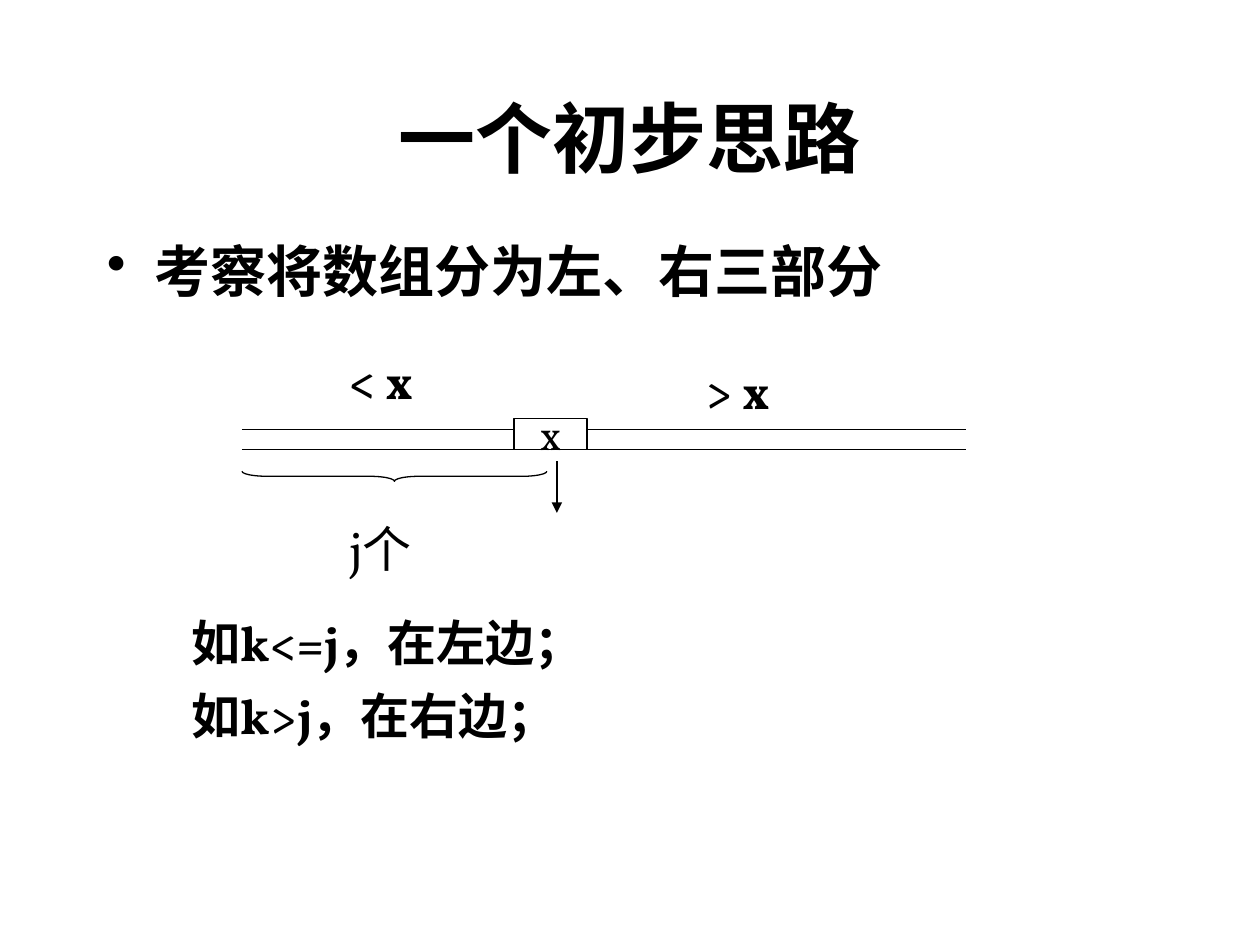
from lxml import etree
from pptx import Presentation
from pptx import util as u
from pptx.dml.color import RGBColor
from pptx.enum import shapes, text
from pptx.oxml import ns

BLACK, WHITE = "000000", "FFFFFF"


def color(value):
    return RGBColor.from_string(value)


def add_xml(parent, tag, **attributes):
    return etree.SubElement(parent, ns.qn(tag), attributes)


class Painter:
    """Holds the slide's style and draws its elements."""

    font = "Vollkorn"
    ink = BLACK
    line_width = u.Pt(0.75)

    def __init__(self, page):
        self.page = page

    def fill_text(self, frame, lines, size, bold=False, align=None, gap=0):
        """Fill a text frame, with a gap in points between paragraphs."""
        for index, line in enumerate(lines):
            para = frame.add_paragraph() if index else frame.paragraphs[0]
            para.text = line
            para.alignment = align
            if index:
                para.space_before = u.Pt(gap)
            para.font.name = self.font
            para.font.size = u.Pt(size)
            para.font.bold = bold
            para.font.color.rgb = color(self.ink)

    def label(self, left, top, width, height, *lines, size=28, bold=True, align=None, gap=8):
        box = self.page.shapes.add_textbox(*map(u.Inches, (left, top, width, height)))
        box.text_frame.word_wrap = True
        self.fill_text(box.text_frame, lines, size, bold, align, gap)
        return box

    def bullet(self, left, top, width, height, line, size):
        box = self.label(left, top, width, height, line, size=size)
        properties = box.text_frame.paragraphs[0]._p.get_or_add_pPr()
        indent = u.Inches(0.38)
        properties.set("marL", str(indent))
        properties.set("indent", str(-indent))
        mark = etree.Element(ns.qn("a:buChar"), char="•")
        properties.insert(0, mark)

    def shape(self, kind, left, top, width, height, fill=None):
        item = self.page.shapes.add_shape(kind, *map(u.Inches, (left, top, width, height)))
        item.shadow.inherit = False
        if fill:
            item.fill.solid()
            item.fill.fore_color.rgb = color(fill)
        else:
            item.fill.background()
        item.line.color.rgb = color(self.ink)
        item.line.width = self.line_width
        return item

    def cell(self, left, top, width, height, line, size):
        box = self.shape(shapes.MSO_SHAPE.RECTANGLE, left, top, width, height, WHITE)
        frame = box.text_frame
        frame.word_wrap = False
        frame.vertical_anchor = text.MSO_ANCHOR.MIDDLE
        self.fill_text(frame, [line], size, align=text.PP_ALIGN.CENTER)

    def brace_below(self, left, top, width, height):
        """Draw a brace that opens upward, as a right brace turned by 90 degrees."""
        brace = self.shape(
            shapes.MSO_SHAPE.RIGHT_BRACE,
            left + (width - height) / 2, top + (height - width) / 2, height, width,
        )
        brace.rotation = 90
        brace.adjustments[0] = 2.47

    def line(self, x1, y1, x2, y2, arrow=False):
        item = self.page.shapes.add_connector(
            shapes.MSO_CONNECTOR.STRAIGHT, *map(u.Inches, (x1, y1, x2, y2)))
        item.line.color.rgb = color(self.ink)
        item.line.width = self.line_width
        if arrow:
            add_xml(item.line._get_or_add_ln(), "a:tailEnd", type="triangle")
        add_xml(item._element.spPr, "a:effectLst")


def main():
    deck = Presentation()
    deck.slide_width, deck.slide_height = u.Inches(10), u.Inches(7.5)
    painter = Painter(deck.slides.add_slide(deck.slide_layouts[6]))

    painter.label(0.75, 0.67, 8.5, 1.25, "一个初步思路", size=44, align=text.PP_ALIGN.CENTER)
    painter.bullet(0.75, 1.83, 8.5, 4.83, "考察将数组分为左、右三部分", 32)

    array_left, array_right = 1.92, 7.67
    for y in (3.41, 3.57):
        painter.line(array_left, y, array_right, y)
    painter.cell(4.08, 3.32, 0.58, 0.25, "x", 24)
    painter.line(4.42, 3.66, 4.42, 4.07, arrow=True)
    painter.brace_below(array_left, 3.74, 2.42, 0.08)

    painter.label(2.67, 4.07, 1, 0.57, "j个", bold=False)
    painter.label(2.67, 2.73, 1.17, 0.57, "< x")
    painter.label(5.5, 2.81, 1.17, 0.57, "> x")
    painter.label(1.42, 4.81, 3.67, 1.27, "如k<=j，在左边；", "如k>j，在右边；")

    deck.save("out.pptx")


if __name__ == "__main__":
    main()
